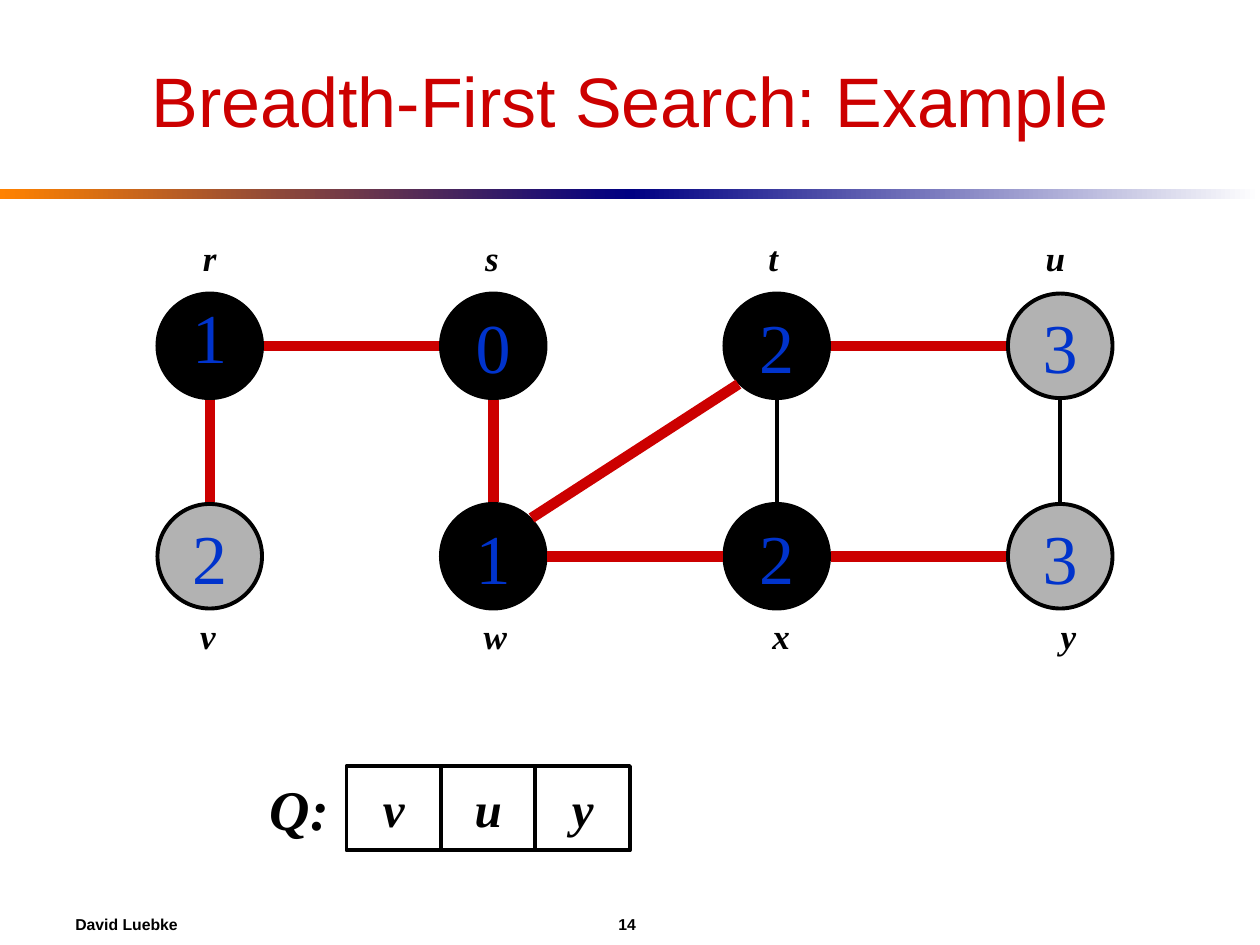
import dataclasses
import math

import lxml.etree
import pptx
import pptx.dml.color
import pptx.enum.shapes
import pptx.enum.text
import pptx.oxml.ns
import pptx.util

Inches = pptx.util.Inches
Shape = pptx.enum.shapes.MSO_SHAPE
Align = pptx.enum.text.PP_ALIGN
Anchor = pptx.enum.text.MSO_ANCHOR
Fit = pptx.enum.text.MSO_AUTO_SIZE


@dataclasses.dataclass(frozen=True)
class Theme:
    red: str = "CC0000"
    blue: str = "0033CC"
    black: str = "000000"
    gray: str = "B2B2B2"
    orange: str = "FF8200"
    navy: str = "000082"
    white: str = "FFFFFF"
    sans: str = "Arial"
    serif: str = "Times New Roman"
    title: int = 40
    distance: int = 40
    queue_name: int = 32
    queue_item: int = 28
    label: int = 20
    footer: int = 9
    thin: float = 2.25
    thick: float = 6


theme = Theme()


def rgb(code):
    return pptx.dml.color.RGBColor.from_string(code)


def write(box, text, *, size, font=theme.serif, color=theme.black, bold=False,
          italic=False, align=Align.CENTER, anchor=Anchor.MIDDLE, wrap=False,
          fit=Fit.NONE, spacing=None):
    frame = box.text_frame
    frame.word_wrap = wrap
    frame.auto_size = fit
    frame.vertical_anchor = anchor
    para = frame.paragraphs[0]
    para.alignment = align
    if spacing:
        para.line_spacing = spacing
    span = para.add_run()
    span.text = text
    span.font.name = font
    span.font.size = pptx.util.Pt(size)
    span.font.bold = bold
    span.font.italic = italic
    span.font.color.rgb = rgb(color)


deck = pptx.Presentation()
deck.slide_width, deck.slide_height = Inches(10), Inches(7.5)
page = deck.slides.add_slide(deck.slide_layouts[6])
shapes = page.shapes

# Gradient rule under the title
for left, start, end in ((0, theme.orange, theme.navy), (5, theme.navy, theme.white)):
    band = shapes.add_shape(Shape.RECTANGLE, Inches(left), Inches(1.5), Inches(5), Inches(0.08))
    band.shadow.inherit = False
    band.line.fill.background()
    band.fill.gradient()
    band.fill.gradient_angle = 0
    for stop, position, color in zip(band.fill.gradient_stops, (0, 1), (start, end)):
        stop.position = position
        stop.color.rgb = rgb(color)

# Footer: author and page number
for text, left, width in (("David Luebke", 0.5, 1.2), ("14", 4.81, 0.4)):
    box = shapes.add_textbox(Inches(left), Inches(7.17), Inches(width), Inches(0.33))
    write(box, text, size=theme.footer, font=theme.sans, bold=True, align=Align.LEFT)

# Title
box = shapes.add_textbox(Inches(0.5), Inches(0.25), Inches(9), Inches(1.08))
write(box, "Breadth-First Search: Example", size=theme.title, font=theme.sans,
      color=theme.red, wrap=True)

# Graph nodes: name, column, row, distance, fill, label left and width
nodes = (
    ("r", 0, 0, "1", theme.black, 1.51, 0.31),
    ("v", 0, 1, "2", theme.gray, 1.49, 0.32),
    ("s", 1, 0, "0", theme.black, 3.75, 0.31),
    ("w", 1, 1, "1", theme.black, 3.74, 0.38),
    ("t", 2, 0, "2", theme.black, 6, 0.27),
    ("x", 2, 1, "2", theme.black, 6.03, 0.34),
    ("u", 3, 0, "3", theme.gray, 8.2, 0.35),
    ("y", 3, 1, "3", theme.gray, 8.32, 0.32),
)
diameter = 0.83
centers = {}
for name, column, row, distance, fill, label_left, label_width in nodes:
    left, top = 1.25 + 2.25 * column, 2.33 + 1.67 * row
    centers[name] = (left + diameter / 2, top + diameter / 2)
    node = shapes.add_shape(Shape.OVAL, Inches(left), Inches(top), Inches(diameter), Inches(diameter))
    node.shadow.inherit = False
    node.fill.solid()
    node.fill.fore_color.rgb = rgb(fill)
    node.line.color.rgb = rgb(theme.black)
    node.line.width = pptx.util.Pt(theme.thin)
    write(node, distance, size=theme.distance, color=theme.blue,
          spacing=0.7 if name == "r" else None)

    label = shapes.add_textbox(Inches(label_left), Inches((1.83, 4.83)[row]),
                               Inches(label_width), Inches(0.44))
    write(label, name, size=theme.label, bold=True, italic=True,
          anchor=Anchor.TOP, fit=Fit.SHAPE_TO_FIT_TEXT)

# Graph edges: red ones have been explored
reach = 0.43
for start, end, explored in (
    ("v", "r", True), ("r", "s", True), ("s", "w", True), ("w", "t", True), ("w", "x", True),
    ("x", "t", False), ("t", "u", True), ("x", "y", True), ("y", "u", False),
):
    (x1, y1), (x2, y2) = centers[start], centers[end]
    across = (x2 > x1) - (x2 < x1)
    down = (y2 > y1) - (y2 < y1)
    step = reach / math.hypot(across, down)
    dx, dy = step * across, step * down
    edge = shapes.add_connector(pptx.enum.shapes.MSO_CONNECTOR.STRAIGHT,
                                Inches(x1 + dx), Inches(y1 + dy), Inches(x2 - dx), Inches(y2 - dy))
    edge.line.color.rgb = rgb(theme.red if explored else theme.black)
    edge.line.width = pptx.util.Pt(theme.thick if explored else theme.thin)
    lxml.etree.SubElement(edge._element.spPr, pptx.oxml.ns.qn("a:effectLst"))

# Queue
cell_width, queue_top, cell_height = Inches(0.75), Inches(6.08), Inches(0.67)
box = shapes.add_textbox(Inches(2), queue_top, cell_width, cell_height)
write(box, "Q:", size=theme.queue_name, bold=True, italic=True)
for index, name in enumerate("vuy"):
    cell = shapes.add_shape(Shape.RECTANGLE, Inches(2.75) + index * cell_width, queue_top,
                            cell_width, cell_height)
    cell.shadow.inherit = False
    cell.fill.background()
    cell.line.color.rgb = rgb(theme.black)
    cell.line.width = pptx.util.Pt(theme.thin)
    write(cell, name, size=theme.queue_item, bold=True, italic=True)

deck.save("out.pptx")
